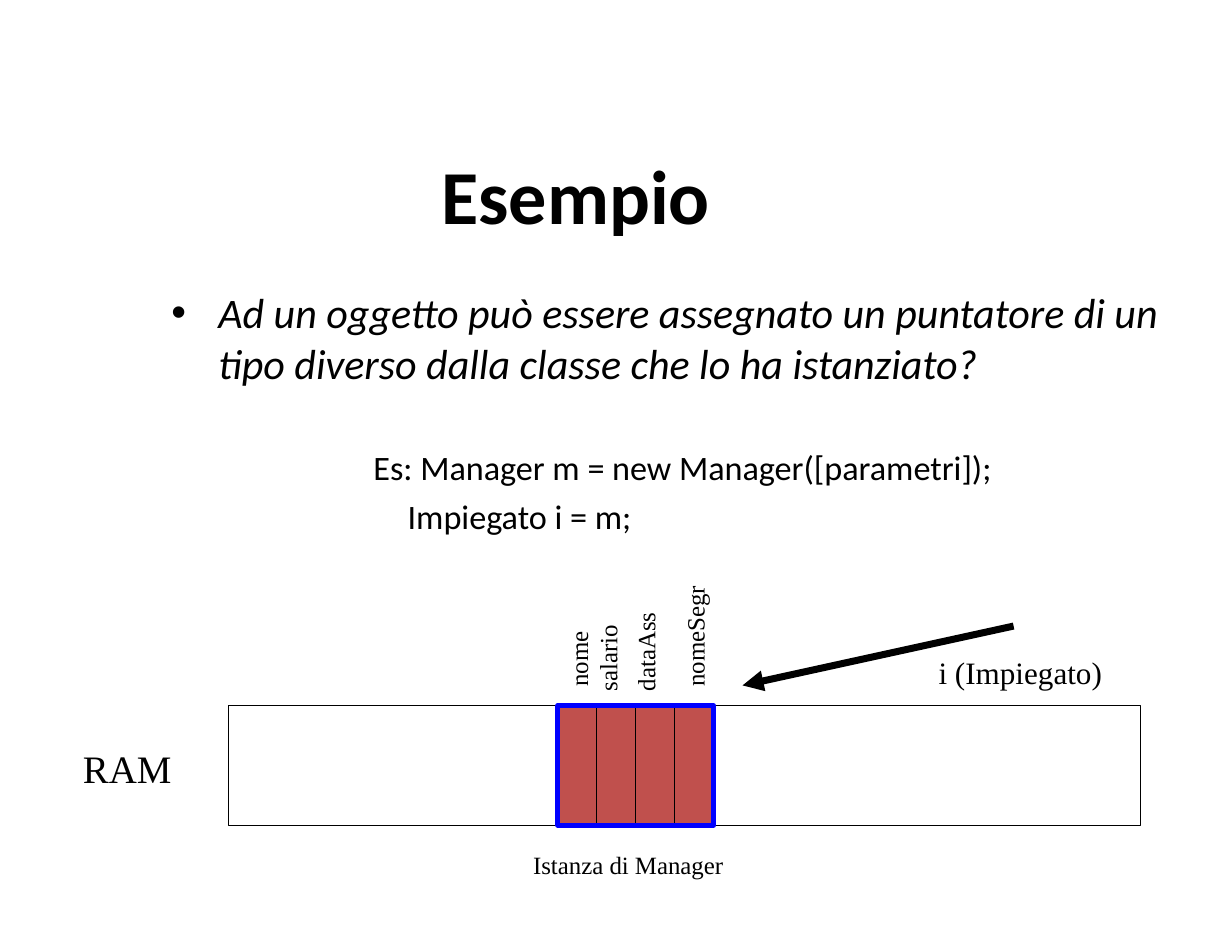
import pptx
import pptx.dml.color
import pptx.enum.shapes
import pptx.enum.text
import pptx.oxml
import pptx.oxml.ns
import pptx.util
from pptx.util import Inches

BLACK = "000000"
SERIF = "Times New Roman"


def color(value):
    return pptx.dml.color.RGBColor.from_string(value)


def format_runs(paragraph, size, font_name, bold=False, italic=False):
    for run in paragraph.runs:
        run.font.size = pptx.util.Pt(size)
        run.font.name = font_name
        run.font.bold = bold
        run.font.italic = italic
        run.font.color.rgb = color(BLACK)


def set_margins(text_frame):
    text_frame.margin_left = text_frame.margin_right = Inches(0.11)
    text_frame.margin_top = text_frame.margin_bottom = Inches(0.06)


def add_xml(parent, tag, **attributes):
    element = pptx.oxml.parse_xml(f"<a:{tag} {pptx.oxml.ns.nsdecls('a')}/>")
    for name, value in attributes.items():
        element.set(name, value)
    parent.append(element)


def add_title(slide, left, top, width, height):
    title = slide.shapes.title
    title.left, title.top, title.width, title.height = left, top, width, height
    text_frame = title.text_frame
    text_frame.text = "Esempio"
    text_frame.auto_size = pptx.enum.text.MSO_AUTO_SIZE.NONE
    text_frame.vertical_anchor = pptx.enum.text.MSO_ANCHOR.MIDDLE
    set_margins(text_frame)
    paragraph = text_frame.paragraphs[0]
    paragraph.alignment = pptx.enum.text.PP_ALIGN.CENTER
    format_runs(paragraph, 49, "Calibri", bold=True)


def add_body(slide, left, top, width, height):
    text_frame = slide.shapes.add_textbox(left, top, width, height).text_frame
    text_frame.word_wrap = True
    set_margins(text_frame)

    question = text_frame.paragraphs[0]
    question.text = (
        "Ad un oggetto può essere assegnato un puntatore di un tipo diverso "
        "dalla classe che lo ha istanziato?"
    )
    question.space_before = pptx.util.Pt(6.8)
    format_runs(question, 27, "Calibri", italic=True)
    properties = question._p.get_or_add_pPr()
    properties.set("marL", str(Inches(0.42)))
    properties.set("indent", str(-Inches(0.42)))
    add_xml(properties, "buFont", typeface="Arial")
    add_xml(properties, "buChar", char="•")

    creation = text_frame.add_paragraph()
    creation.text = "Es: Manager m = new Manager([parametri]);"
    creation.alignment = pptx.enum.text.PP_ALIGN.CENTER
    creation.space_before = pptx.util.Pt(37.5)
    format_runs(creation, 22, "Calibri")

    assignment = text_frame.add_paragraph()
    assignment.text = "Impiegato i = m;"
    assignment.space_before = pptx.util.Pt(5.5)
    assignment._p.get_or_add_pPr().set("marL", str(Inches(2.11)))
    format_runs(assignment, 22, "Calibri")


def add_rectangle(slide, left, top, width, height, fill, line, line_width):
    rectangle = slide.shapes.add_shape(
        pptx.enum.shapes.MSO_SHAPE.RECTANGLE, left, top, width, height
    )
    rectangle.shadow.inherit = False
    if fill:
        rectangle.fill.solid()
        rectangle.fill.fore_color.rgb = color(fill)
    else:
        rectangle.fill.background()
    rectangle.line.color.rgb = color(line)
    rectangle.line.width = pptx.util.Pt(line_width)


def add_label(slide, text, left, top, width, height, size):
    label = slide.shapes.add_textbox(left, top, width, height)
    text_frame = label.text_frame
    text_frame.text = text
    text_frame.word_wrap = True
    text_frame.auto_size = pptx.enum.text.MSO_AUTO_SIZE.NONE
    set_margins(text_frame)
    text_frame.margin_right = 0
    format_runs(text_frame.paragraphs[0], size, SERIF)
    return label


def add_field_label(slide, text, center, bottom, length):
    height = Inches(0.38)
    left = center - length // 2
    top = bottom - length // 2 - height // 2
    add_label(slide, text, left, top, length, height, 16).rotation = 270


def add_pointer(slide, start_x, start_y, end_x, end_y):
    pointer = slide.shapes.add_connector(
        pptx.enum.shapes.MSO_CONNECTOR.STRAIGHT, start_x, start_y, end_x, end_y
    )
    pointer.line.color.rgb = color(BLACK)
    pointer.line.width = pptx.util.Pt(4.5)
    add_xml(pointer.line._get_or_add_ln(), "tailEnd", type="triangle")
    add_xml(pointer._element.spPr, "effectLst")


def add_memory(slide, left, top, width, height):
    add_rectangle(slide, left, top, width, height, "FFFFFF", BLACK, 0.75)

    fields = [
        ("nome", 0.18, 0.06, 0.72),
        ("salario", 0.44, 0.02, 0.81),
        ("dataAss", 0.78, 0.02, 0.93),
        ("nomeSegr", 1.22, 0.06, 1.12),
    ]
    object_left = left + Inches(2.94)
    object_width = Inches(1.39)
    field_width = object_width // len(fields)
    for index, (name, center, gap, length) in enumerate(fields):
        field_left = object_left + index * field_width
        add_rectangle(slide, field_left, top, field_width, height, "C0504D", BLACK, 0.75)
        add_field_label(
            slide, name, object_left + Inches(center), top - Inches(gap), Inches(length)
        )
    add_rectangle(slide, object_left, top, object_width, height, None, "0000FF", 3)

    add_pointer(
        slide,
        left + Inches(7.01), top - Inches(0.71),
        left + Inches(4.59), top - Inches(0.18),
    )
    for text, offset_x, offset_y, label_width, label_height, size in [
        ("i (Impiegato)", 6.23, -0.53, 1.68, 0.44, 20),
        ("Istanza di Manager", 2.61, 1.23, 1.92, 0.38, 16),
        ("RAM", -1.41, 0.29, 1.01, 0.53, 25),
    ]:
        add_label(
            slide, text, left + Inches(offset_x), top + Inches(offset_y),
            Inches(label_width), Inches(label_height), size,
        )


def main():
    presentation = pptx.Presentation()
    presentation.slide_width = Inches(11)
    presentation.slide_height = Inches(8.5)
    slide = presentation.slides.add_slide(presentation.slide_layouts[5])
    add_title(slide, Inches(0.7), Inches(1.02), Inches(8.88), Inches(1.42))
    add_body(slide, Inches(1.42), Inches(2.5), Inches(9.35), Inches(2.46))
    add_memory(slide, Inches(2.04), Inches(6.3), Inches(8.14), Inches(1.07))
    presentation.save("out.pptx")


if __name__ == "__main__":
    main()
